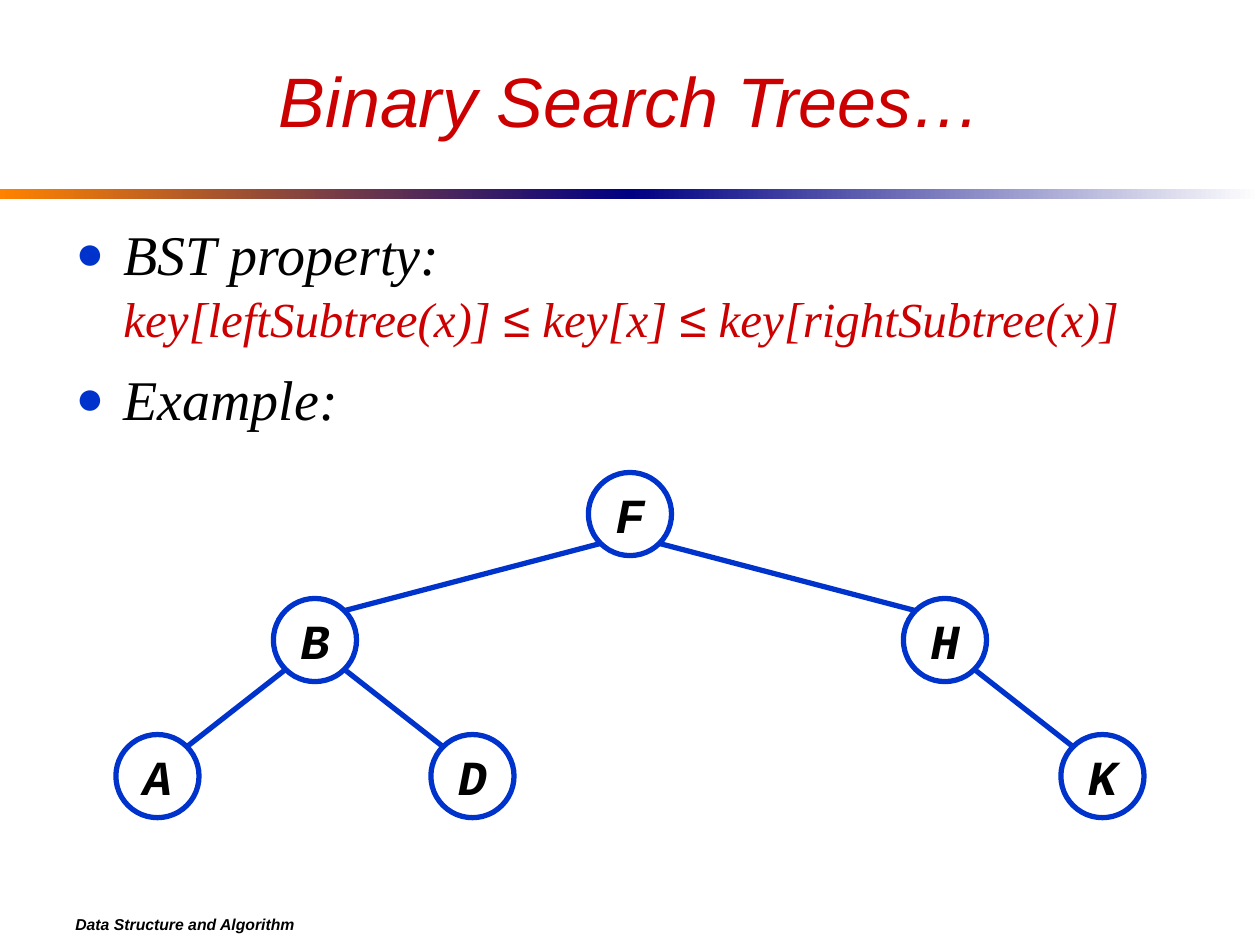
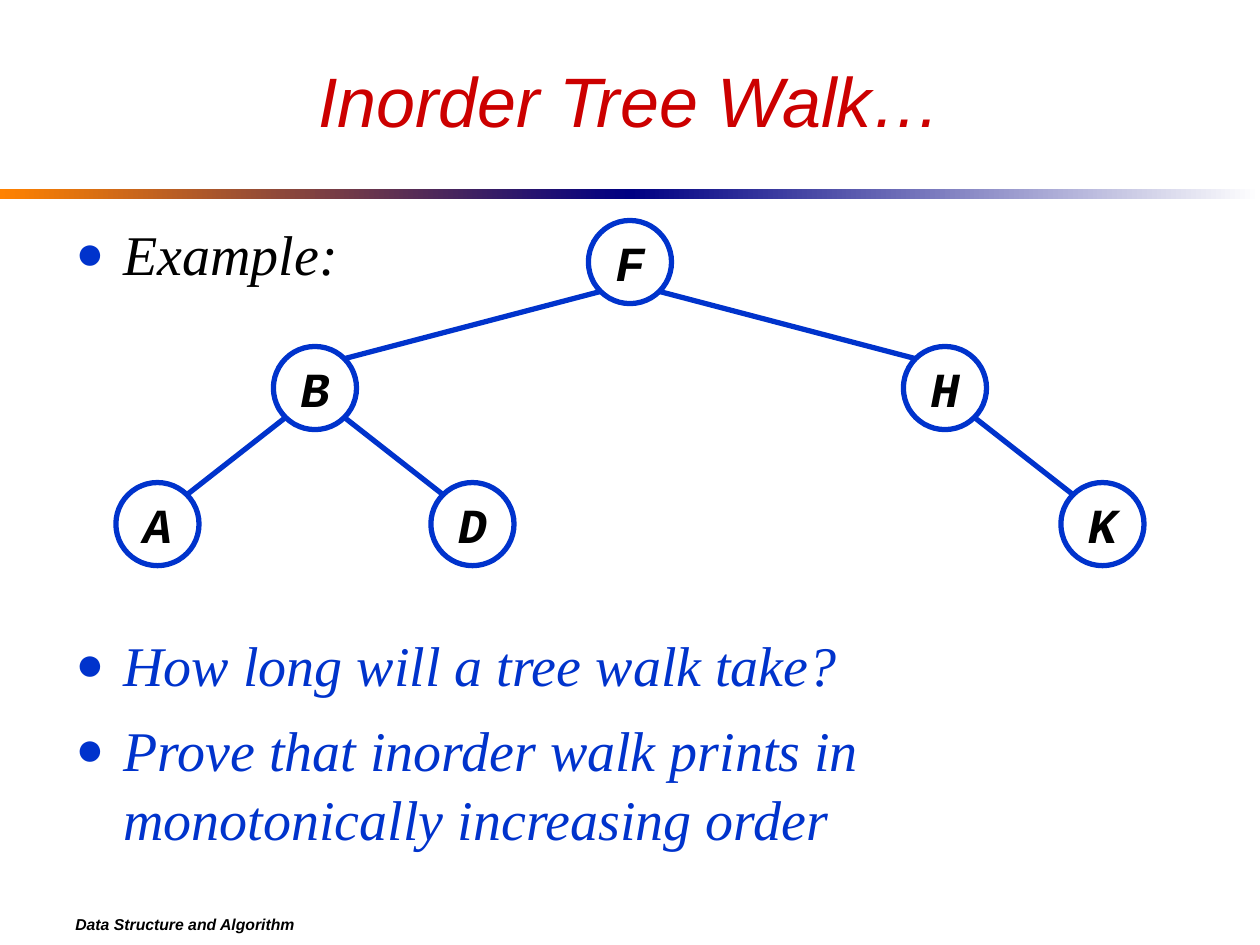
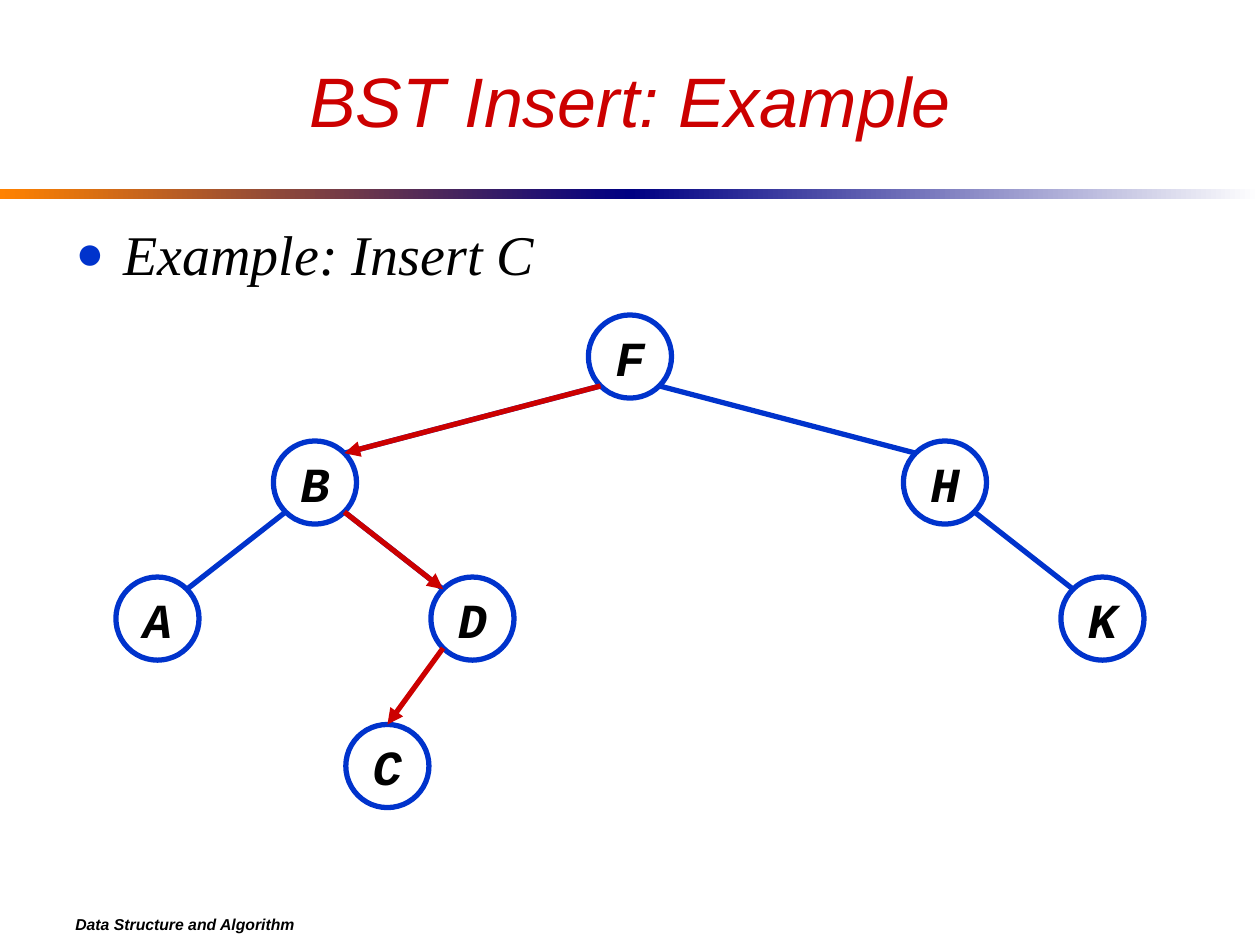
from math import sqrt

from lxml.etree import SubElement
from pptx import Presentation
from pptx.dml.color import RGBColor
from pptx.enum.shapes import MSO_CONNECTOR, MSO_SHAPE
from pptx.enum.text import MSO_ANCHOR, MSO_AUTO_SIZE, PP_ALIGN
from pptx.oxml.ns import qn
from pptx.util import Inches, Pt

COLORS = {
    "blue": "0033CC", "red": "CC0000", "black": "000000",
    "white": "FFFFFF", "orange": "FF8200", "navy": "000082",
}
# Text styles
TITLE = {"name": "Arial", "size": 40, "italic": True, "bold": False, "color": "red"}
BODY = {"name": "Times New Roman", "size": 32, "italic": True, "bold": False, "color": "black"}
QUESTION = {**BODY, "color": "blue"}
FORMULA = {**BODY, "size": 28, "color": "red"}
SYMBOL = {**FORMULA, "name": "Arial"}
LABEL = {"name": "Courier New", "size": 28, "italic": True, "bold": True, "color": "black"}
FOOTER = {"name": "Arial", "size": 9, "italic": True, "bold": True, "color": "black"}

# Tree geometry: node letter -> (column, level)
NODE = 0.66
COLUMN_STEP = 1.25
TREE_LEFT = 0.92
LEVEL_TOPS = (0, 1, 2.08, 3.25)
NODES = {"F": (3, 0), "B": (1, 1), "H": (5, 1), "K": (6, 2), "D": (2, 2), "A": (0, 2)}
EDGES = ("BA", "BD", "FB", "FH", "HK")


def rgb(name):
    return RGBColor.from_string(COLORS[name])


def add_span(para, text, style):
    span = para.add_run()
    span.text = text
    for key, value in style.items():
        if key == "color":
            span.font.color.rgb = rgb(value)
        else:
            setattr(span.font, key, Pt(value) if key == "size" else value)


def place(shape, left, top, width, height):
    for side, value in zip(("left", "top", "width", "height"), (left, top, width, height)):
        setattr(shape, side, Inches(value))


def set_bullet(para):
    properties = para._p.get_or_add_pPr()
    indent = Inches(0.38)
    properties.set("marL", str(indent))
    properties.set("indent", str(-indent))
    color = SubElement(properties, qn("a:buClr"))
    SubElement(color, qn("a:srgbClr"), val=COLORS["blue"])
    SubElement(properties, qn("a:buSzPct"), val="85000")
    SubElement(properties, qn("a:buFont"), typeface="Arial")
    SubElement(properties, qn("a:buChar"), char="●")


def add_title(page, text):
    title = page.shapes.title
    place(title, 0.5, 0.25, 9, 1.08)
    frame = title.text_frame
    frame.auto_size = MSO_AUTO_SIZE.NONE
    frame.vertical_anchor = MSO_ANCHOR.MIDDLE
    para = frame.paragraphs[0]
    para.alignment = PP_ALIGN.CENTER
    add_span(para, text, TITLE)


def add_body(page, items):
    """Each item is (points before, spans); a span of None is a line break."""
    body = page.placeholders[1]
    place(body, 0.5, 1.67, 9, 4.75)
    frame = body.text_frame
    frame.auto_size = MSO_AUTO_SIZE.NONE
    frame.vertical_anchor = MSO_ANCHOR.TOP
    for index, (before, spans) in enumerate(items):
        para = frame.add_paragraph() if index else frame.paragraphs[0]
        para.space_before, para.space_after = Pt(before), Pt(0.1)
        para.line_spacing = 1.04
        set_bullet(para)
        for span in spans:
            if span is None:
                para.add_line_break()
            else:
                add_span(para, *span)


def add_band(page):
    for left, start, end in ((0, "orange", "navy"), (5, "navy", "white")):
        band = page.shapes.add_shape(
            MSO_SHAPE.RECTANGLE, Inches(left), Inches(1.5), Inches(5), Inches(0.08))
        band.shadow.inherit = False
        band.line.fill.background()
        band.fill.gradient()
        band.fill.gradient_angle = 0
        for stop, color in zip(band.fill.gradient_stops, (start, end)):
            stop.color.rgb = rgb(color)


def add_footer(page):
    box = page.shapes.add_textbox(Inches(0.5), Inches(7.17), Inches(9), Inches(0.33))
    frame = box.text_frame
    frame.word_wrap = True
    frame.vertical_anchor = MSO_ANCHOR.MIDDLE
    add_span(frame.paragraphs[0], "Data Structure and Algorithm", FOOTER)


def add_page(deck, title, items):
    page = deck.slides.add_slide(deck.slide_layouts[1])
    add_band(page)
    add_footer(page)
    add_title(page, title)
    add_body(page, items)
    return page


def add_node(page, tree_top, letter, column, level):
    node = page.shapes.add_shape(
        MSO_SHAPE.OVAL, Inches(TREE_LEFT + column * COLUMN_STEP),
        Inches(tree_top + LEVEL_TOPS[level]), Inches(NODE), Inches(NODE))
    node.shadow.inherit = False
    node.fill.solid()
    node.fill.fore_color.rgb = rgb("white")
    node.line.color.rgb = rgb("blue")
    node.line.width = Pt(3)
    frame = node.text_frame
    frame.word_wrap = False
    frame.vertical_anchor = MSO_ANCHOR.MIDDLE
    para = frame.paragraphs[0]
    para.alignment = PP_ALIGN.CENTER
    add_span(para, letter, LABEL)
    return node


def rim_point(node, right, down):
    """Point on the circle, diagonally from its centre."""
    reach = node.width / 2 / sqrt(2)
    x = node.left + node.width / 2 + (reach if right else -reach)
    y = node.top + node.height / 2 + (reach if down else -reach)
    return int(x), int(y)


def add_edge(page, parent, child, color="blue", arrow=False):
    right = child.left > parent.left
    edge = page.shapes.add_connector(
        MSO_CONNECTOR.STRAIGHT, *rim_point(parent, right, True),
        *rim_point(child, not right, False))
    edge.line.color.rgb = rgb(color)
    edge.line.width = Pt(3)
    if arrow:
        SubElement(edge.line._get_or_add_ln(), qn("a:tailEnd"), type="triangle")
    SubElement(edge._element.spPr, qn("a:effectLst"))
    return edge


def add_tree(page, top):
    nodes = {letter: add_node(page, top, letter, *cell) for letter, cell in NODES.items()}
    for parent, child in EDGES:
        add_edge(page, nodes[parent], nodes[child])
    return nodes


def add_insertion(page, top, nodes):
    """Red search path and the inserted node C."""
    for parent, child in ("FB", "BD"):
        add_edge(page, nodes[parent], nodes[child], "red", arrow=True)
    inserted = add_node(page, top, "C", 1.46, 3)
    edge = add_edge(page, nodes["D"], inserted, "red", arrow=True)
    edge.end_connect(inserted, 0)


def main():
    deck = Presentation()
    deck.slide_width, deck.slide_height = Inches(10), Inches(7.5)

    # Binary search tree property
    formula = [
        ("key[leftSubtree(x)] ", FORMULA), ("≤", SYMBOL), (" key[x] ", FORMULA),
        ("≤", SYMBOL), (" key[rightSubtree(x)]", FORMULA),
    ]
    page = add_page(deck, "Binary Search Trees…", [
        (7.1, [("BST property: ", BODY), None, *formula]),
        (8.1, [("Example:", BODY)]),
    ])
    add_tree(page, 3.75)

    # Inorder walk, with the questions below the tree
    page = add_page(deck, "Inorder Tree Walk…", [
        (8.1, [("Example:", BODY)]),
        (195, [("How long will a tree walk take?", QUESTION)]),
        (8.1, [("Prove that inorder walk prints in monotonically increasing order",
                QUESTION)]),
    ])
    add_tree(page, 1.75)

    # Insertion
    page = add_page(deck, "BST Insert: Example", [(8.1, [("Example: Insert C", BODY)])])
    add_insertion(page, 2.5, add_tree(page, 2.5))

    deck.save("out.pptx")


if __name__ == "__main__":
    main()
